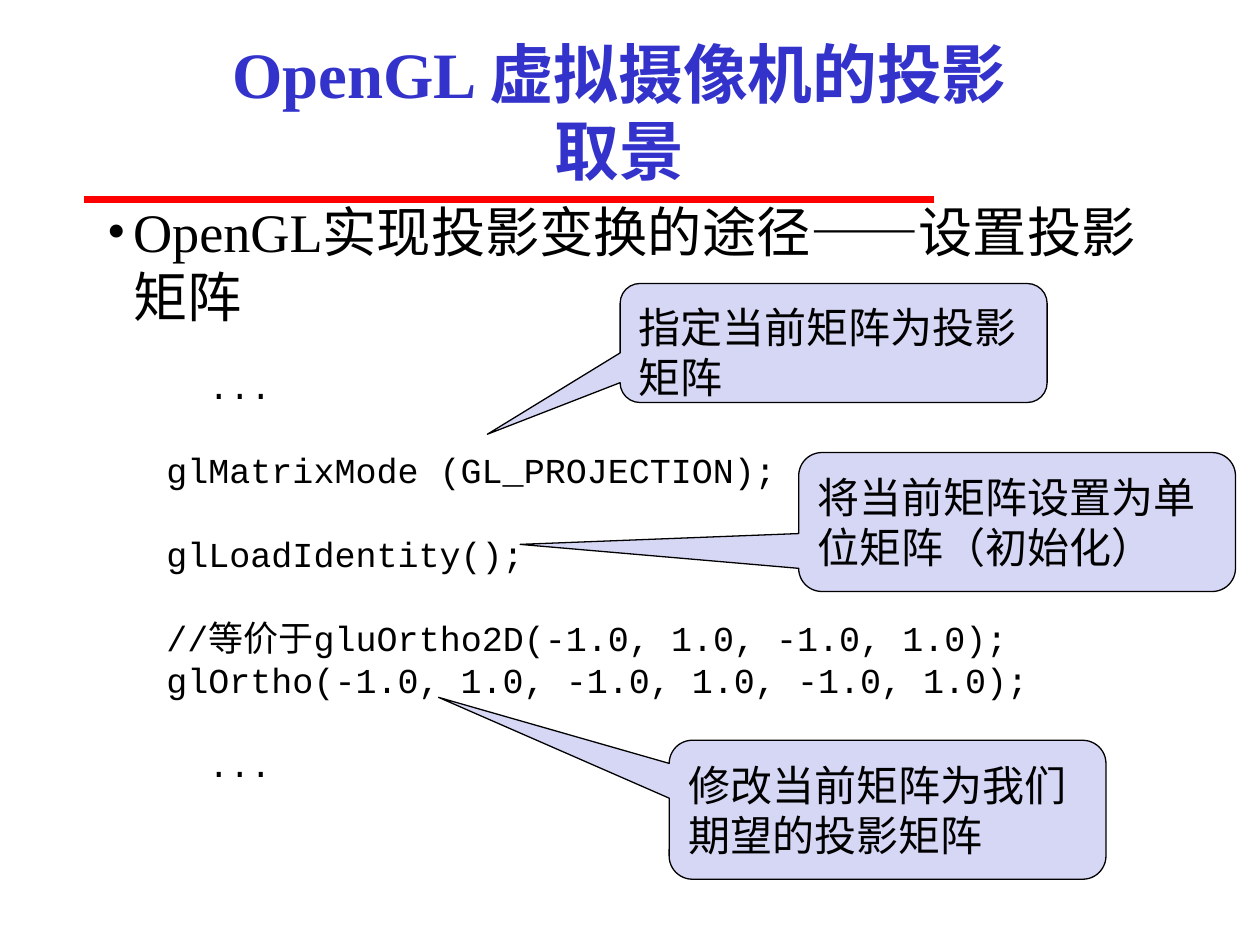
from dataclasses import dataclass

from pptx import Presentation
from pptx.dml.color import RGBColor as Rgb
from pptx.enum.shapes import MSO_CONNECTOR as Conn, MSO_SHAPE as Shape
from pptx.enum.text import MSO_ANCHOR as Anchor, PP_ALIGN as Align
from pptx.oxml.ns import qn
from pptx.util import Pt
from lxml.etree import SubElement


@dataclass(frozen=True)
class Theme:
    title: Rgb = Rgb(0x33, 0x33, 0xCC)
    ink: Rgb = Rgb(0, 0, 0)
    rule: Rgb = Rgb(0xFF, 0, 0)
    note: Rgb = Rgb(0xD6, 0xD6, 0xF5)
    serif: str = "Times New Roman"
    mono: str = "Courier New"
    han: str = "Noto Sans CJK SC"
    head_size: float = 37
    body_size: float = 31
    note_size: float = 24
    code_size: float = 20


@dataclass(frozen=True)
class Box:
    left: float
    top: float
    width: float
    height: float

    def lengths(self) -> tuple:
        return Pt(self.left), Pt(self.top), Pt(self.width), Pt(self.height)


@dataclass(frozen=True)
class Note:
    text: str
    box: Box
    tip: tuple[float, float]  # pointer offset from the centre, in box sizes


@dataclass(frozen=True)
class Line:
    text: str
    gap: float = 24


THEME = Theme()

NOTES = [
    Note("指定当前矩阵为投影矩阵", Box(354.4, 162, 244, 68), (-0.811, 0.767)),
    Note("将当前矩阵设置为单位矩阵（初始化）", Box(456.4, 258.6, 249.6, 79.4), (-1.138, 0.161)),
    Note("修改当前矩阵为我们期望的投影矩阵", Box(382.4, 423, 249.6, 79.4), (-1.028, -0.809)),
]

CODE = [
    Line("  ...", 0),
    Line("glMatrixMode (GL_PROJECTION);"),
    Line("glLoadIdentity();"),
    Line("//等价于gluOrtho2D(-1.0, 1.0, -1.0, 1.0);"),
    Line("glOrtho(-1.0, 1.0, -1.0, 1.0, -1.0, 1.0);", 0),
    Line("  ..."),
]


def set_up(frame, top: float, anchor=Anchor.TOP) -> None:
    """Wrap the text and set the margins of its frame."""
    frame.word_wrap = True
    frame.vertical_anchor = anchor
    frame.margin_left = frame.margin_right = Pt(7.2)
    frame.margin_top, frame.margin_bottom = Pt(top), Pt(3.6)


def write(para, text: str, *, font: str, size: float, pitch: float,
          color: Rgb = THEME.ink, bold: bool = False,
          align=Align.LEFT, gap: float = 0) -> None:
    """Add a run to a paragraph and set the paragraph's spacing."""
    para.alignment = align
    para.line_spacing = Pt(pitch)
    para.space_before = Pt(gap)
    run = para.add_run()
    run.text = text
    run.font.name, run.font.size = font, Pt(size)
    run.font.bold = bold
    run.font.color.rgb = color
    SubElement(run.font._element, qn("a:ea"), typeface=THEME.han)


def add_frame(slide, box: Box, top: float, anchor=Anchor.TOP):
    frame = slide.shapes.add_textbox(*box.lengths()).text_frame
    set_up(frame, top, anchor)
    return frame


def add_bullet(para, indent: float) -> None:
    props = para._p.get_or_add_pPr()
    props.set("marL", str(Pt(indent)))
    props.set("indent", str(-Pt(indent)))
    SubElement(props, qn("a:buFont"), typeface=THEME.serif)
    SubElement(props, qn("a:buChar"), char="•")


def add_rule(slide, left: float, right: float, y: float) -> None:
    rule = slide.shapes.add_connector(Conn.STRAIGHT, Pt(left), Pt(y), Pt(right), Pt(y))
    rule.line.color.rgb = THEME.rule
    rule.line.width = Pt(4)
    SubElement(rule._element.spPr, qn("a:effectLst"))


def add_note(slide, note: Note) -> None:
    shape = slide.shapes.add_shape(Shape.ROUNDED_RECTANGULAR_CALLOUT, *note.box.lengths())
    shape.shadow.inherit = False
    shape.adjustments[0], shape.adjustments[1] = note.tip
    shape.fill.solid()
    shape.fill.fore_color.rgb = THEME.note
    shape.line.color.rgb = THEME.ink
    shape.line.width = Pt(0.75)
    set_up(shape.text_frame, 7)
    write(shape.text_frame.paragraphs[0], note.text, font=THEME.han,
          size=THEME.note_size, pitch=28.8)


def main() -> None:
    deck = Presentation()
    deck.slide_width, deck.slide_height = Pt(720), Pt(540)
    slide = deck.slides.add_slide(deck.slide_layouts[6])

    # Title and its rule
    add_rule(slide, 48, 534, 114)
    head = add_frame(slide, Box(108, 18, 492, 84), 11, Anchor.MIDDLE)
    write(head.paragraphs[0], "OpenGL 虚拟摄像机的投影取景", font=THEME.serif,
          size=THEME.head_size, pitch=44, color=THEME.title, bold=True,
          align=Align.CENTER)

    # Bullet
    body = add_frame(slide, Box(54, 106, 625.6, 62.4), 8).paragraphs[0]
    add_bullet(body, 15)
    for text, font in [("OpenGL实现投影变换的途径", THEME.serif),
                       ("——", THEME.han), ("设置投影矩阵", THEME.serif)]:
        write(body, text, font=font, size=THEME.body_size, pitch=36.8)

    # Code
    code = add_frame(slide, Box(88, 202.4, 544, 271.4), 6)
    for i, line in enumerate(CODE):
        para = code.add_paragraph() if i else code.paragraphs[0]
        write(para, line.text, font=THEME.mono, size=THEME.code_size,
              pitch=24, gap=line.gap)

    # Callouts
    for note in NOTES:
        add_note(slide, note)

    deck.save("out.pptx")


if __name__ == "__main__":
    main()
